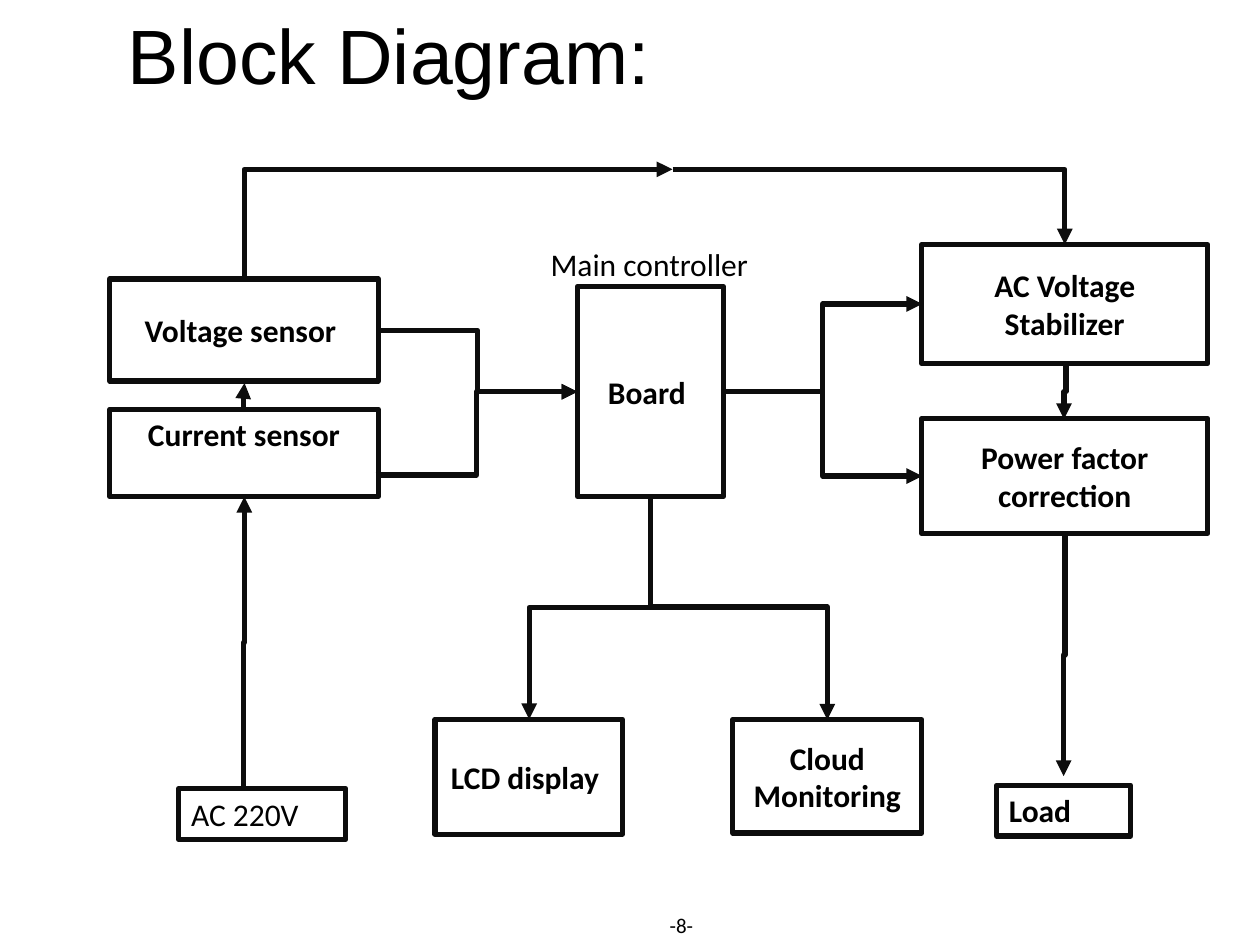
from dataclasses import dataclass

from lxml import etree
from pptx import Presentation
from pptx.dml.color import RGBColor
from pptx.enum.shapes import MSO_CONNECTOR, MSO_SHAPE
from pptx.enum.text import MSO_ANCHOR, PP_ALIGN
from pptx.oxml.ns import qn
from pptx.util import Pt

ELBOW = MSO_CONNECTOR.ELBOW
RECTANGLE = MSO_SHAPE.RECTANGLE
TOP, MIDDLE = MSO_ANCHOR.TOP, MSO_ANCHOR.MIDDLE
LEFT, CENTER, RIGHT = PP_ALIGN.LEFT, PP_ALIGN.CENTER, PP_ALIGN.RIGHT
QUARTER_TURN = "5400000"


@dataclass(frozen=True)
class Theme:
    text: RGBColor = RGBColor(0, 0, 0)
    line: RGBColor = RGBColor(0x0D, 0x0D, 0x0D)
    fill: RGBColor = RGBColor(0xFF, 0xFF, 0xFF)
    title_font: str = "Arial"
    body_font: str = "Calibri"
    title_size: int = 44
    body_size: int = 18
    number_size: int = 12
    line_width: int = 3


THEME = Theme()


def write_text(shape, text, *, font=THEME.body_font, size=THEME.body_size,
               bold=False, align=LEFT, anchor=TOP, wrap=True):
    frame = shape.text_frame
    frame.word_wrap = wrap
    frame.vertical_anchor = anchor
    paragraph = frame.paragraphs[0]
    paragraph.alignment = align
    run = paragraph.add_run()
    run.text = text
    run.font.name = font
    run.font.size = Pt(size)
    run.font.bold = bold
    run.font.color.rgb = THEME.text


class DiagramSlide:
    """Draws labels, blocks and elbow arrows on one slide."""

    def __init__(self, slide, theme):
        self.shapes = slide.shapes
        self.theme = theme

    def outline(self, line):
        line.color.rgb = self.theme.line
        line.width = Pt(self.theme.line_width)

    def label(self, text, bounds, **text_format):
        shape = self.shapes.add_textbox(*map(Pt, bounds))
        write_text(shape, text, **text_format)

    def block(self, text, bounds, filled=True, **text_format):
        shape = self.shapes.add_shape(RECTANGLE, *map(Pt, bounds))
        shape.shadow.inherit = False
        if filled:
            shape.fill.solid()
            shape.fill.fore_color.rgb = self.theme.fill
        else:
            shape.fill.background()
        self.outline(shape.line)
        write_text(shape, text, **text_format)

    def arrow(self, start, end, vertical=False, corner=False):
        (x1, y1), (x2, y2) = start, end
        if vertical:
            middle_x, middle_y = (x1 + x2) / 2, (y1 + y2) / 2
            half_width, half_height = (x2 - x1) / 2, (y2 - y1) / 2
            x1, y1 = middle_x - half_height, middle_y + half_width
            x2, y2 = middle_x + half_height, middle_y - half_width
        connector = self.shapes.add_connector(ELBOW, Pt(x1), Pt(y1), Pt(x2), Pt(y2))
        self.outline(connector.line)
        properties = connector._element.spPr
        if vertical:
            properties.find(qn("a:xfrm")).set("rot", QUARTER_TURN)
        if corner:
            properties.find(qn("a:prstGeom")).set("prst", "bentConnector2")
        etree.SubElement(properties.find(qn("a:ln")), qn("a:tailEnd"), type="triangle")
        etree.SubElement(properties, qn("a:effectLst"))


def main():
    presentation = Presentation()
    presentation.slide_width, presentation.slide_height = Pt(720), Pt(540)
    slide = presentation.slides.add_slide(presentation.slide_layouts[6])
    diagram = DiagramSlide(slide, THEME)

    diagram.label("Block Diagram:", (66, 1, 390, 72),
                  font=THEME.title_font, size=THEME.title_size)
    diagram.label("-8-", (374.4, 519, 28.8, 19.5), size=THEME.number_size,
                  align=RIGHT, anchor=MIDDLE)

    blocks = [
        ("Board ", (330, 163.7, 83.3, 120), MIDDLE),
        ("Voltage sensor ", (62.8, 159.4, 153.4, 58.3), MIDDLE),
        (" Current sensor ", (62.8, 233.8, 153.4, 49.8), TOP),
        ("AC Voltage Stabilizer", (526.7, 139.8, 163.5, 67.9), MIDDLE),
        ("Power factor correction", (526.7, 239.2, 163.5, 65.6), MIDDLE),
        ("Cloud Monitoring", (418.8, 411.3, 108, 64.8), MIDDLE),
        ("LCD display ", (248.6, 411, 107, 65.7), MIDDLE),
    ]
    for text, bounds, anchor in blocks:
        diagram.block(text, bounds, bold=True, align=CENTER, anchor=anchor)

    vertical_arrows = [
        ((139, 234.7), (139.7, 218.9)),
        ((609.1, 208), (608, 239.5)),
        ((608.5, 305), (607.8, 443.5)),
        ((371.5, 283.3), (302.4, 411)),
        ((139, 450.5), (139.6, 283.9)),
    ]
    for start, end in vertical_arrows:
        diagram.arrow(start, end, vertical=True)

    controller_input, controller_output = (330, 223.9), (413.3, 223.9)
    horizontal_arrows = [
        ((216, 188.8), controller_input),
        ((214.6, 271.4), controller_input),
        (controller_output, (527, 173.7)),
        (controller_output, (527, 272)),
    ]
    for start, end in horizontal_arrows:
        diagram.arrow(start, end)

    bypass = (384.3, 96.8)
    diagram.arrow((139.6, 159.3), bypass, vertical=True, corner=True)
    diagram.arrow(bypass, (608.5, 139.7), corner=True)
    diagram.arrow((372, 346.9), (472.8, 411.3), corner=True)

    diagram.block("Load", (569.5, 448.7, 76.6, 29.1), filled=False, bold=True)
    diagram.block("AC 220V", (102.1, 450.6, 95.5, 29.1), filled=False)
    diagram.label("Main controller", (307.5, 136.4, 129, 29.1), wrap=False)

    presentation.save("out.pptx")


if __name__ == "__main__":
    main()
